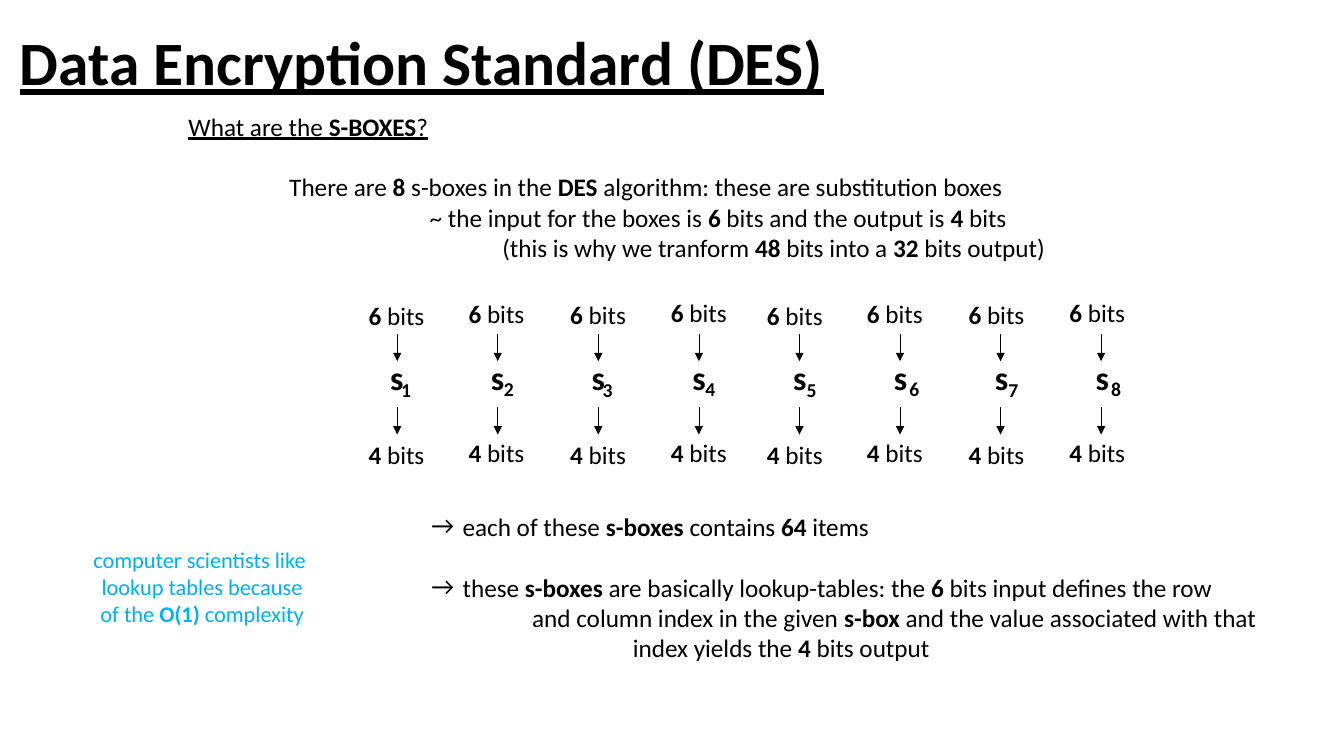
from lxml.etree import SubElement
from pptx import Presentation
from pptx.dml.color import RGBColor
from pptx.enum.shapes import MSO_CONNECTOR
from pptx.enum.text import MSO_ANCHOR, PP_ALIGN
from pptx.oxml.ns import qn
from pptx.util import Cm, Pt

BLACK, BLUE = "000000", "00B0F0"
BLANK_LINE = 21.9  # height in points of one empty 18 pt line


def color(value):
    return RGBColor.from_string(value)


def write(para, text, size=18, ink=BLACK, bold=False, underline=False,
          align=PP_ALIGN.LEFT, before=0, spacing=1.0, indent=0, bullet=None):
    """Fill a paragraph; each ** in the text switches bold on or off."""
    properties = para._p.get_or_add_pPr()
    hanging = 0.79 if bullet else 0
    properties.set("marL", str(Cm(indent + hanging)))
    properties.set("indent", str(Cm(-hanging)))
    para.alignment = align
    para.space_before = Pt(before)
    para.line_spacing = spacing
    if bullet:
        SubElement(properties, qn("a:buFont")).set("typeface", "Calibri")
        SubElement(properties, qn("a:buChar")).set("char", bullet)
    for number, piece in enumerate(text.split("**")):
        if piece:
            span = para.add_run()
            span.text = piece
            span.font.name = "Calibri"
            span.font.size = Pt(size)
            span.font.bold = bold or number % 2 == 1
            span.font.underline = underline
            span.font.color.rgb = color(ink)


class Page:
    def __init__(self, deck):
        self.shapes = deck.slides.add_slide(deck.slide_layouts[6]).shapes

    def text(self, left, top, width, height, *lines, wrap=True,
             anchor=MSO_ANCHOR.TOP, **style):
        """Add a text box; a line is a text or a (text, format) pair."""
        box = self.shapes.add_textbox(Cm(left), Cm(top), Cm(width), Cm(height))
        frame = box.text_frame
        frame.word_wrap = wrap
        frame.vertical_anchor = anchor
        for number, line in enumerate(lines):
            words, extra = (line, {}) if isinstance(line, str) else line
            para = frame.add_paragraph() if number else frame.paragraphs[0]
            write(para, words, **{**style, **extra})

    def arrow_down(self, x, top, length):
        line = self.shapes.add_connector(
            MSO_CONNECTOR.STRAIGHT, Cm(x), Cm(top), Cm(x), Cm(top + length))
        line.line.color.rgb = color(BLACK)
        line.line.width = Pt(0.5)
        SubElement(line.line._get_or_add_ln(), qn("a:tailEnd")).set("type", "triangle")
        SubElement(line._element.spPr, qn("a:effectLst"))


def main():
    deck = Presentation()
    deck.slide_width, deck.slide_height = Cm(33.87), Cm(19.05)
    page = Page(deck)

    # Title
    page.text(0.25, -0.18, 29.21, 3.68, "Data Encryption Standard (DES)", size=44,
              bold=True, underline=True, spacing=0.9, anchor=MSO_ANCHOR.MIDDLE)

    # Introduction
    page.text(
        4.5, 2.67, 23.93, 4.4,
        ("What are the **S-BOXES**?", dict(underline=True)),
        ("There are **8** s-boxes in the **DES** algorithm: these are substitution boxes",
         dict(indent=2.54, before=BLANK_LINE)),
        ("~ the input for the boxes is **6** bits and the output is **4** bits",
         dict(indent=6.08)),
        ("(this is why we tranform **48** bits into a **32** bits output)",
         dict(indent=7.91)))

    # Letter, subscript, arrows and bit counts of each s-box, in two groups of four
    subscript_lefts = [9.86, 12.45, 14.94, 17.53]
    label_lefts = [9.04, 11.56, 14.12, 16.66]
    input_tops = [7.44, 7.39, 7.42, 7.37]
    for column in range(8):
        group, place = divmod(column, 4)
        odd = column % 2
        page.text(9.58 + 2.54 * column, 8.86, 0.85, 1.28, "s",
                  size=24, bold=True, wrap=False)
        page.text(subscript_lefts[place] + 10.22 * group, 9.4 - 0.03 * odd, 0.76, 0.86,
                  str(column + 1), size=14, bold=True, wrap=False)
        label_left = label_lefts[place] + 10.04 * group
        for bits, top in (("6", input_tops[place]), ("4", 10.95 - 0.05 * odd)):
            page.text(label_left, top, 1.96, 1.02, f"**{bits} **bits", wrap=False)
        for top in (8.41, 10.26):
            page.arrow_down(10.01 + 17.74 / 7 * column, top, 0.69)

    # Explanation
    page.text(
        10.62, 12.75, 21.72, 4.11,
        ("each of these **s-boxes** contains **64** items", dict(bullet="→")),
        ("these **s-boxes** are basically lookup-tables: the** 6 **bits input defines the row",
         dict(bullet="→", before=BLANK_LINE)),
        ("and column index in the given **s-box** and the value associated with that",
         dict(indent=2.54)),
        ("index yields the **4** bits output", dict(indent=5.08)))

    # Side note
    page.text(2.06, 13.64, 6.07, 2.31, "computer scientists like ",
              "lookup tables because", "of the **O(1)** complexity",
              size=16, ink=BLUE, align=PP_ALIGN.CENTER, wrap=False)

    deck.save("out.pptx")


if __name__ == "__main__":
    main()
